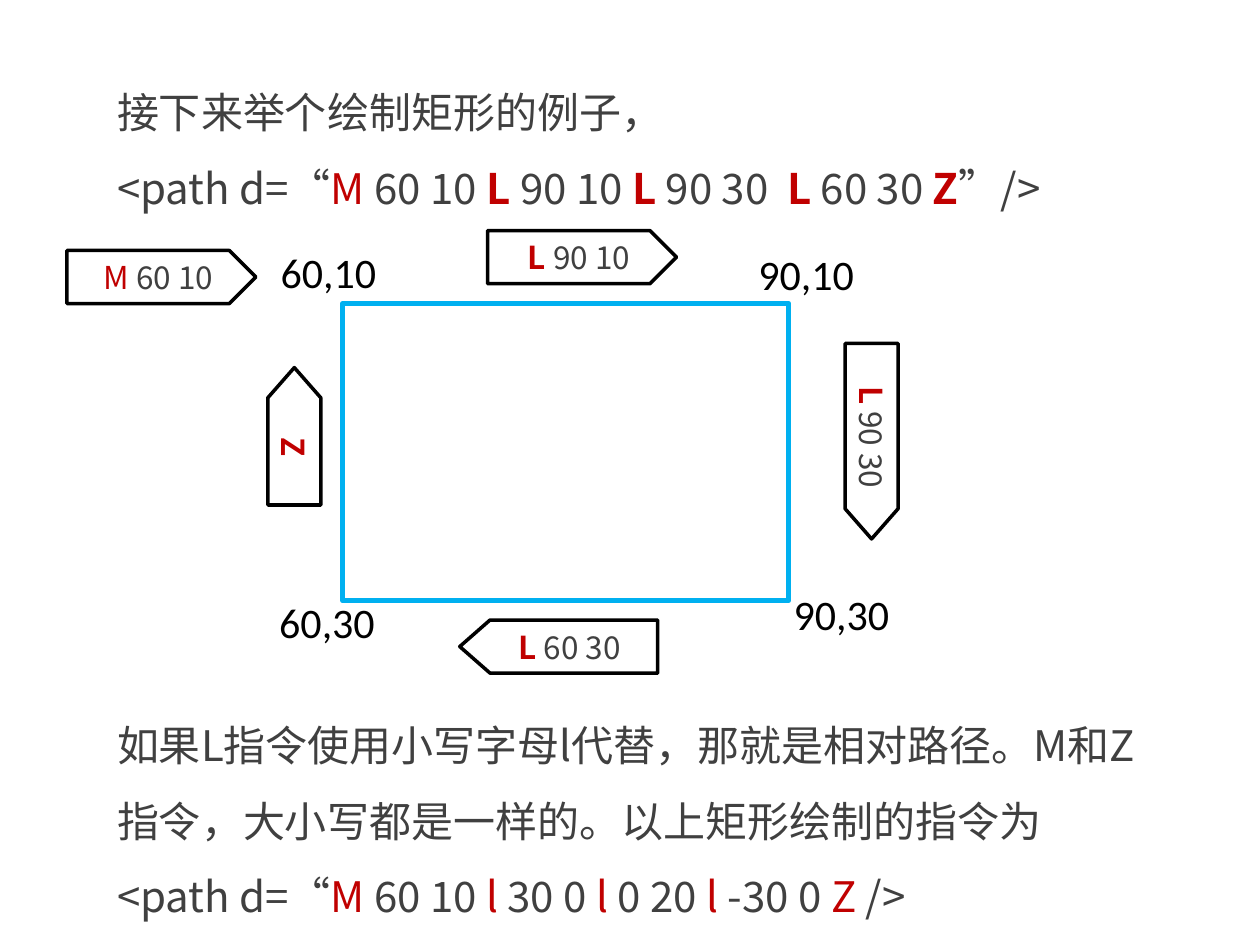
from dataclasses import dataclass
from itertools import groupby

from pptx import Presentation
from pptx.dml.color import RGBColor
from pptx.enum.shapes import MSO_SHAPE
from pptx.enum.text import MSO_ANCHOR, MSO_AUTO_SIZE, PP_ALIGN
from pptx.oxml.ns import qn
from pptx.util import Cm, Pt

RECTANGLE = MSO_SHAPE.RECTANGLE
PENTAGON = MSO_SHAPE.PENTAGON
CENTER = PP_ALIGN.CENTER
MIDDLE = MSO_ANCHOR.MIDDLE
GROW = MSO_AUTO_SIZE.SHAPE_TO_FIT_TEXT
BLANK_LAYOUT = 6
COMMANDS = "MLZl"


@dataclass(frozen=True)
class Theme:
    body: RGBColor = RGBColor(0x40, 0x40, 0x40)
    command: RGBColor = RGBColor(0xC0, 0x00, 0x00)
    ink: RGBColor = RGBColor(0x00, 0x00, 0x00)
    outline: RGBColor = RGBColor(0x00, 0xB0, 0xF0)
    prose_font: str = "Noto Sans CJK SC"
    label_font: str = "Calibri"
    text_size: int = 24
    step_size: int = 18


def write_run(paragraph, text, *, font, size, color, bold=False):
    """Add one formatted run, with the same font for Latin and East Asian text."""
    run = paragraph.add_run()
    run.text = text
    run.font.name = font
    run.font.size = Pt(size)
    run.font.color.rgb = color
    run.font.bold = bold
    latin = run.font._element.find(qn("a:latin"))
    east_asian = latin.makeelement(qn("a:ea"), {"typeface": font})
    latin.addnext(east_asian)


class PathSlide:
    def __init__(self, slide, theme):
        self.slide = slide
        self.theme = theme

    def write_commands(self, paragraph, text, size, bold=""):
        """Write path data with its command letters highlighted."""
        theme = self.theme
        for is_command, letters in groupby(text, lambda letter: letter in COMMANDS):
            part = "".join(letters)
            write_run(paragraph, part, font=theme.prose_font, size=size,
                      color=theme.command if is_command else theme.body,
                      bold=is_command and part in bold)

    def text_box(self, left, top, width, height):
        box = self.slide.shapes.add_textbox(Cm(left), Cm(top), Cm(width), Cm(height))
        box.text_frame.word_wrap = True
        box.text_frame.auto_size = GROW
        return box.text_frame

    def explanation(self, top, height, sentence, path_code, bold=""):
        theme = self.theme
        frame = self.text_box(2.11, top, 21.21, height)
        prose, code = frame.paragraphs[0], frame.add_paragraph()
        prose.line_spacing = code.line_spacing = 1.5
        write_run(prose, sentence, font=theme.prose_font,
                  size=theme.text_size, color=theme.body)
        self.write_commands(code, path_code, theme.text_size, bold)

    def corner_label(self, left, top, coordinates):
        theme = self.theme
        frame = self.text_box(left, top, 3, 1.27)
        write_run(frame.paragraphs[0], coordinates, font=theme.label_font,
                  size=theme.text_size, color=theme.ink)

    def outlined(self, kind, left, top, width, height, color, weight):
        shape = self.slide.shapes.add_shape(
            kind, Cm(left), Cm(top), Cm(width), Cm(height))
        shape.shadow.inherit = False
        shape.fill.background()
        shape.line.color.rgb = color
        shape.line.width = Pt(weight)
        return shape

    def step_arrow(self, left, top, width, command, *, rotation=0,
                   flipped=False, point=0.57):
        theme = self.theme
        arrow = self.outlined(PENTAGON, left, top, width, 1.07, theme.ink, 2)
        arrow.adjustments[0] = point
        arrow.rotation = rotation
        if flipped:
            arrow._element.spPr.find(qn("a:xfrm")).set("flipH", "1")
        frame = arrow.text_frame
        frame.word_wrap = True
        frame.vertical_anchor = MIDDLE
        caption = frame.paragraphs[0]
        caption.alignment = CENTER
        self.write_commands(caption, " " + command, theme.step_size, bold="LZ")


def main():
    deck = Presentation()
    deck.slide_width, deck.slide_height = Cm(25.4), Cm(19.05)
    theme = Theme()
    page = PathSlide(deck.slides.add_slide(deck.slide_layouts[BLANK_LAYOUT]), theme)

    # Absolute path example
    page.explanation(1.12, 3.33, "接下来举个绘制矩形的例子，",
                     "<path d=“M 60 10 L 90 10 L 90 30  L 60 30 Z”/>", bold="LZ")

    # Drawn rectangle and its corner coordinates
    page.outlined(RECTANGLE, 6.91, 6.12, 8.99, 5.99, theme.outline, 3)
    for left, top, coordinates in (
        (5.41, 4.85, "60,10"),
        (15.04, 4.88, "90,10"),
        (15.75, 11.73, "90,30"),
        (5.38, 11.91, "60,30"),
    ):
        page.corner_label(left, top, coordinates)

    # Relative path example
    page.explanation(
        13.87, 4.88,
        "如果L指令使用小写字母l代替，那就是相对路径。M和Z指令，大小写都是一样的。以上矩形绘制的指令为",
        "<path d=“M 60 10 l 30 0 l 0 20 l -30 0 Z />")

    # Drawing steps around the rectangle
    page.step_arrow(9.83, 4.65, 3.81, "L 90 10", point=0.5)
    page.step_arrow(15.6, 8.36, 3.94, "L 90 30", rotation=90)
    page.step_arrow(9.27, 12.5, 3.99, "L 60 30", flipped=True)
    page.step_arrow(4.55, 8.26, 2.77, "Z", rotation=90, flipped=True)
    page.step_arrow(1.35, 5.05, 3.81, "M 60 10", point=0.5)

    deck.save("out.pptx")


if __name__ == "__main__":
    main()
